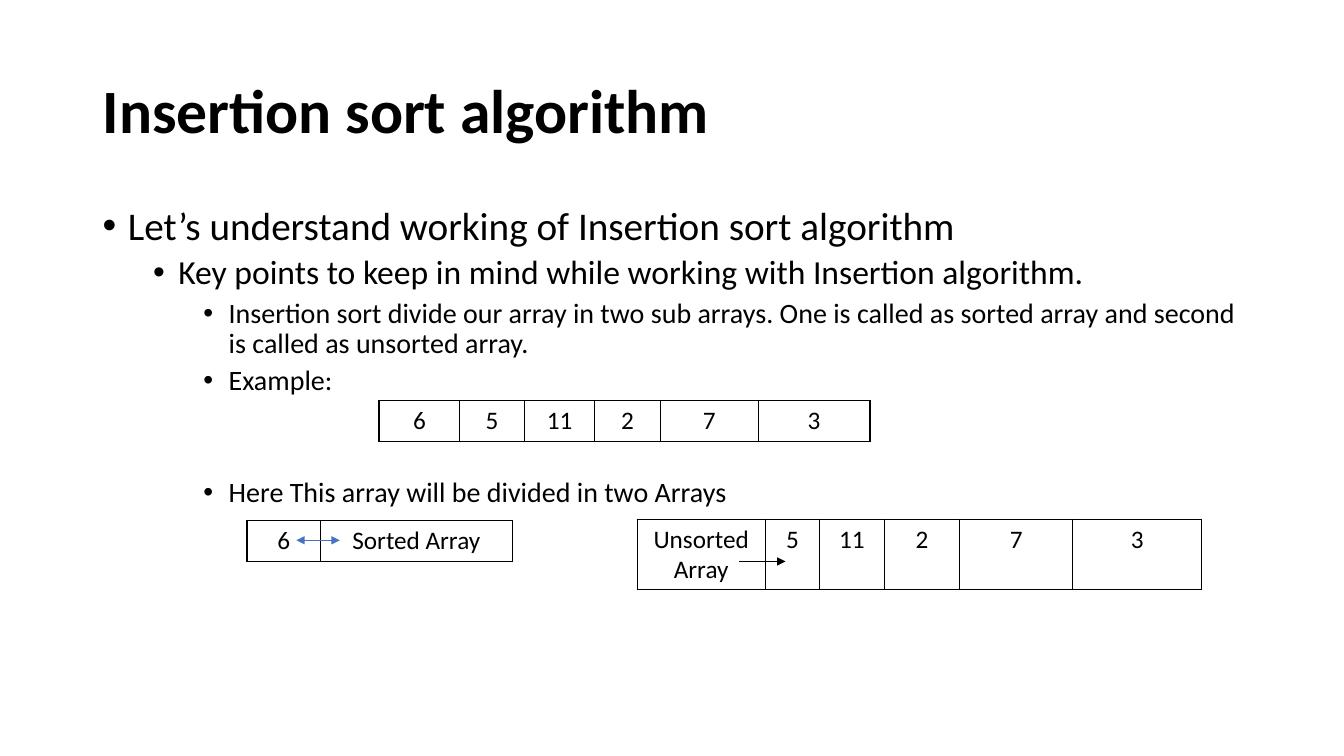
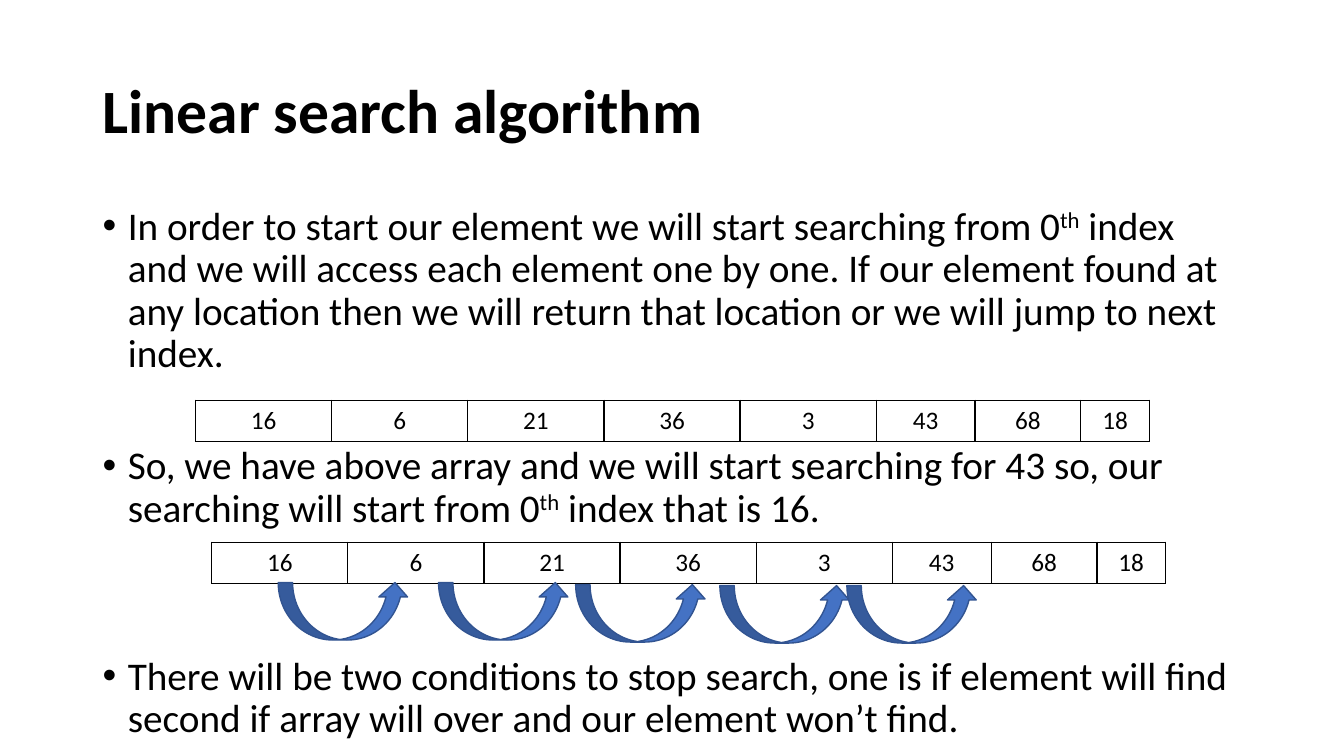
from dataclasses import dataclass
from lxml.etree import SubElement
from pptx import Presentation
from pptx.dml.color import RGBColor
from pptx.enum.shapes import MSO_CONNECTOR, MSO_SHAPE
from pptx.enum.text import MSO_ANCHOR, PP_ALIGN
from pptx.oxml.ns import qn
from pptx.slide import Slide
from pptx.text.text import _Paragraph as Paragraph
from pptx.util import Inches, Pt


@dataclass(frozen=True)
class Theme:
    font: str = "Calibri"
    ink: str = "000000"
    accent: str = "4472C4"
    accent_edge: str = "325491"
    title_size: int = 44
    level_sizes: tuple[int, ...] = (28, 24, 20)
    cell_size: int = 18
    line_spacing: float = 0.9
    border: float = 1
    arrow_width: float = 0.5


THEME = Theme()


@dataclass(frozen=True)
class Bullet:
    text: str  # parts between carets are superscript
    level: int = 0
    before: float = 0


@dataclass(frozen=True)
class ArrayRow:
    left: float
    top: float
    values: tuple[str, ...]
    widths: tuple[float, ...]
    height: float = 0.41


@dataclass(frozen=True)
class Arrow:
    start: float
    end: float
    y: float
    color: str
    both_ends: bool = False


def write_text(para: Paragraph, text: str, *, size: float, bold: bool = False,
               align: PP_ALIGN = PP_ALIGN.LEFT) -> None:
    para.alignment = align
    for index, part in enumerate(text.split("^")):
        span = para.add_run()
        span.text = part
        span.font.name = THEME.font
        span.font.size = Pt(size)
        span.font.bold = bold
        span.font.color.rgb = RGBColor.from_string(THEME.ink)
        if index % 2:
            span.font._element.set("baseline", "30000")


def add_title(page: Slide, text: str) -> None:
    box = page.shapes.add_textbox(Inches(0.92), Inches(0.4), Inches(11.5), Inches(1.45))
    frame = box.text_frame
    frame.word_wrap = True
    frame.vertical_anchor = MSO_ANCHOR.MIDDLE
    frame.paragraphs[0].line_spacing = THEME.line_spacing
    write_text(frame.paragraphs[0], text, size=THEME.title_size, bold=True)


def add_bullets(page: Slide, bullets: list[Bullet], height: float) -> None:
    box = page.shapes.add_textbox(Inches(0.92), Inches(2), Inches(11.5), Inches(height))
    frame = box.text_frame
    frame.word_wrap = True
    for index, bullet in enumerate(bullets):
        para = frame.add_paragraph() if index else frame.paragraphs[0]
        para.level = bullet.level
        properties = para._p.get_or_add_pPr()
        properties.set("marL", str(Inches(0.25 + 0.5 * bullet.level)))
        properties.set("indent", str(Inches(-0.25)))
        SubElement(properties, qn("a:buFont"), typeface="Arial")
        SubElement(properties, qn("a:buChar"), char="•")
        para.line_spacing = THEME.line_spacing
        para.space_before = Pt(bullet.before)
        write_text(para, bullet.text, size=THEME.level_sizes[bullet.level])


def add_array(page: Slide, array: ArrayRow) -> None:
    table = page.shapes.add_table(
        1, len(array.values), Inches(array.left), Inches(array.top),
        Inches(sum(array.widths)), Inches(array.height)).table
    table.first_row = table.horz_banding = False
    table.rows[0].height = Inches(array.height)
    for column, value, width in zip(table.columns, array.values, array.widths):
        column.width = Inches(width)
    for cell, value in zip(table.rows[0].cells, array.values):
        properties = cell._tc.get_or_add_tcPr()
        for side in ("lnL", "lnR", "lnT", "lnB"):
            edge = SubElement(properties, qn(f"a:{side}"), w=str(Pt(THEME.border)))
            SubElement(SubElement(edge, qn("a:solidFill")), qn("a:srgbClr"), val=THEME.ink)
        cell.fill.background()
        for index, line in enumerate(value.split("\n")):
            para = cell.text_frame.add_paragraph() if index else cell.text_frame.paragraphs[0]
            write_text(para, line, size=THEME.cell_size, align=PP_ALIGN.CENTER)


def add_arrow(page: Slide, arrow: Arrow) -> None:
    connector = page.shapes.add_connector(
        MSO_CONNECTOR.STRAIGHT, Inches(arrow.start), Inches(arrow.y),
        Inches(arrow.end), Inches(arrow.y))
    connector.line.color.rgb = RGBColor.from_string(arrow.color)
    connector.line.width = Pt(THEME.arrow_width)
    line = connector.line._get_or_add_ln()
    for tip in ("headEnd", "tailEnd") if arrow.both_ends else ("tailEnd",):
        SubElement(line, qn(f"a:{tip}"), type="triangle")
    SubElement(connector._element.spPr, qn("a:effectLst"))


def add_jump(page: Slide, left: float, top: float) -> None:
    jump = page.shapes.add_shape(MSO_SHAPE.CURVED_UP_ARROW, Inches(left), Inches(top),
                                 Inches(1.3), Inches(0.57))
    jump.shadow.inherit = False
    jump.fill.solid()
    jump.fill.fore_color.rgb = RGBColor.from_string(THEME.accent)
    jump.line.color.rgb = RGBColor.from_string(THEME.accent_edge)
    jump.line.width = Pt(THEME.border)


def build_insertion_sort(page: Slide) -> None:
    add_title(page, "Insertion sort algorithm")
    add_bullets(page, [
        Bullet("Let’s understand working of Insertion sort algorithm"),
        Bullet("Key points to keep in mind while working with Insertion algorithm.", 1, 5),
        Bullet("Insertion sort divide our array in two sub arrays. One is called as sorted "
               "array and second is called as unsorted array.", 2, 5),
        Bullet("Example:", 2, 5),
        Bullet("Here This array will be divided in two Arrays", 2, 58),
    ], height=4.76)

    # Whole array, then its sorted and unsorted parts
    rest = ("5", "11", "2", "7", "3")
    add_array(page, ArrayRow(3.76, 3.97, ("6", *rest), (0.8, 0.64, 0.7, 0.65, 0.97, 1.11)))
    add_array(page, ArrayRow(2.45, 5.16, ("6", "Sorted Array"), (0.73, 1.9)))
    add_array(page, ArrayRow(6.32, 5.15, ("Unsorted\nArray", *rest),
                             (1.27, 0.54, 0.64, 0.75, 1.12, 1.28), height=0.7))
    add_arrow(page, Arrow(3.37, 2.94, 5.36, THEME.accent, both_ends=True))
    add_arrow(page, Arrow(7.33, 7.79, 5.57, THEME.ink))


def build_linear_search(page: Slide) -> None:
    add_title(page, "Linear search algorithm")
    add_bullets(page, [
        Bullet("In order to start our element we will start searching from 0^th^ index and we "
               "will access each element one by one. If our element found at any location then "
               "we will return that location or we will jump to next index."),
        Bullet("So, we have above array and we will start searching for 43 so, our searching "
               "will start from 0^th^ index that is 16.", before=50),
        Bullet("There will be two conditions to stop search, one is if element will find second "
               "if array will over and our element won’t find.", before=90),
    ], height=5.5)

    # The same array twice, the second one with the search steps
    values = ("16", "6", "21", "36", "3", "43", "68", "18")
    widths = (1.35,) * 5 + (0.98, 1.05, 0.68)
    for left, top in ((1.94, 3.97), (2.1, 5.38)):
        add_array(page, ArrayRow(left, top, values, widths))
    for left, top in ((2.76, 5.78), (4.35, 5.78), (5.71, 5.8), (7.14, 5.81), (8.4, 5.81)):
        add_jump(page, left, top)


def main() -> None:
    deck = Presentation()
    deck.slide_width, deck.slide_height = Inches(13.33), Inches(7.5)
    for build in (build_insertion_sort, build_linear_search):
        build(deck.slides.add_slide(deck.slide_layouts[6]))
    deck.save("out.pptx")


if __name__ == "__main__":
    main()
